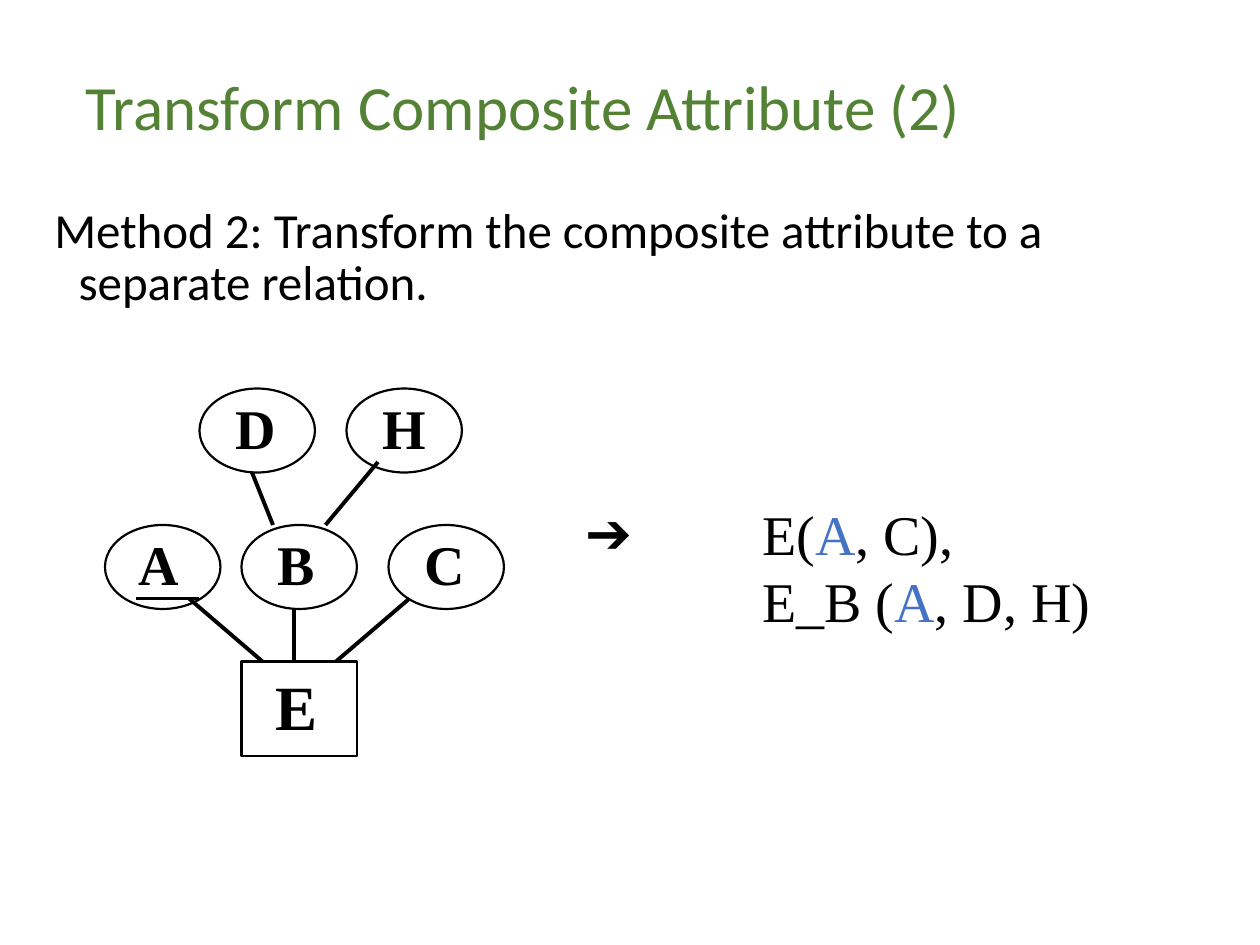
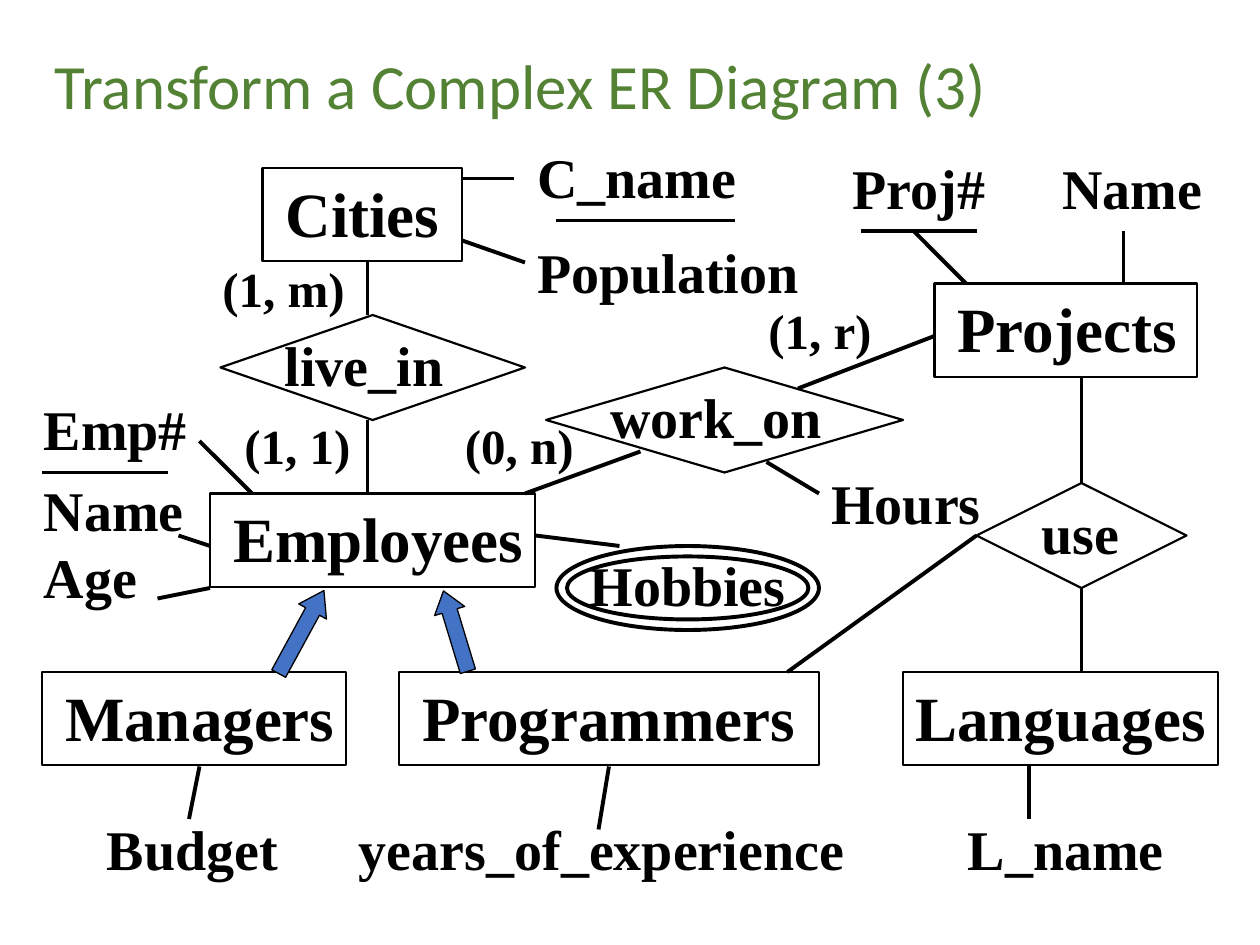
from lxml import etree
from pptx import Presentation
from pptx.dml.color import RGBColor
from pptx.enum.shapes import MSO_CONNECTOR, MSO_SHAPE
from pptx.enum.text import MSO_ANCHOR, PP_ALIGN
from pptx.oxml.ns import qn
from pptx.util import Emu, Pt

PX = 7620  # 120 px to the inch
COLORS = {"title": "548235", "ink": "000000", "key": "4472C4"}
SANS, SERIF, SYMBOL = "Calibri", "Times New Roman", "Arial"
ENTITY_HEIGHT = 89
LABEL_HEIGHT = 77

# Slide 1: composite attribute
COMPOSITE_TITLE = ("Transform Composite Attribute (2)", (70, 50, 1050, 110))
METHOD = "Method 2: Transform the composite attribute to a separate relation."
RELATIONS = [
    [("E(", "ink"), ("A", "key"), (", C),", "ink")],
    [("E_B (", "ink"), ("A", "key"), (", D, H)", "ink")],
]
ATTRIBUTES = [  # name, left, top, shift of the letter to the left
    ("D", 190, 370, 1), ("H", 330, 370, 0),
    ("A", 100, 500, 4), ("B", 230, 500, 3), ("C", 370, 500, 1),
]
ATTRIBUTE_SIZE = (110, 80)
COMPOSITE_LINES = [
    (240, 450, 260, 500), (360, 440, 310, 500),  # D and H to B
    (180, 570, 250, 630), (280, 580, 280, 630), (390, 570, 320, 630),  # A, B, C to E
    (130, 570, 190, 570),  # key underline
]

# Slide 2: complex ER diagram
COMPLEX_TITLE = ("Transform a Complex ER Diagram (3)", (40, 30, 1120, 110))
ENTITIES = [  # name, left, top, width, left inset
    ("Cities", 250, 160, 190, 22), ("Projects", 890, 270, 250, 22),
    ("Employees", 200, 470, 310, 22), ("Managers", 40, 640, 290, 22),
    ("Programmers", 380, 640, 400, 22), ("Languages", 860, 640, 300, 12),
]
RELATIONSHIPS = [  # name, left, top, width, shift of the text to the left
    ("live_in", 210, 300, 290, 8), ("work_on", 520, 350, 340, 8), ("use", 930, 460, 200, 1),
]
LABELS = [  # text, left, top, width
    ("C_name", 500, 130, 214), ("Population", 500, 220, 272),
    ("Proj#", 800, 140, 151), ("Name", 1000, 140, 157), ("Hours", 780, 440, 166),
    ("Budget", 90, 770, 187), ("years_of_experience", 330, 770, 486), ("L_name", 910, 770, 211),
]
EMPLOYEE_ATTRIBUTES = ["Emp#", "Name", "Age"]
CARDINALITIES = [
    ("(1, m)", 200, 240, 140), ("(1, 1)", 221, 390, 125),
    ("(0, n)", 431, 390, 127), ("(1, r)", 720, 280, 122),
]
COMPLEX_LINES = [
    (440, 170, 490, 170), (500, 250, 440, 229),  # Cities attributes
    (350, 300, 350, 250), (350, 400, 350, 470),  # live_in
    (760, 370, 890, 320), (500, 470, 610, 430), (730, 440, 780, 470),  # work_on
    (870, 220, 920, 270), (1070, 220, 1070, 270),  # Projects attributes
    (190, 420, 240, 470), (170, 510, 200, 520), (150, 570, 200, 560),  # Employees attributes
    (510, 510, 590, 520),  # Hobbies
    (190, 730, 180, 780), (580, 730, 570, 790), (980, 730, 980, 780),  # lower attributes
    (530, 210, 700, 210), (820, 220, 930, 220), (40, 450, 160, 450),  # key underlines
]
USE_LINES = [  # side of the diamond, then both ends
    (0, (1030, 460, 1030, 360)), (1, (930, 510, 750, 640)), (2, (1030, 560, 1030, 640)),
]
SUBTYPE_ARROWS = [  # box, rotation, head length
    ((242, 587, 90, 30), 298.6, 0.753), ((394, 586, 80, 30), 253.1, 0.667),
]


def px(*lengths):
    return [Emu(length * PX) for length in lengths]


def color(name):
    return RGBColor.from_string(COLORS[name])


def write(frame, lines, *, size=32, font=SERIF, ink="ink", bold=False, align=PP_ALIGN.LEFT,
          anchor=MSO_ANCHOR.TOP, insets=(12, 6, 0, 0), wrap=True, spacing=(), hanging=0):
    """Fill a text frame; a line is a string or a list of (text, colour) spans."""
    frame.word_wrap = wrap
    frame.vertical_anchor = anchor
    frame.margin_left, frame.margin_top, frame.margin_right, frame.margin_bottom = px(*insets)
    for index, line in enumerate(lines):
        para = frame.paragraphs[0] if index == 0 else frame.add_paragraph()
        para.alignment = align
        if index < len(spacing):
            para.line_spacing = spacing[index]
        if hanging:
            properties = para._p.get_or_add_pPr()
            properties.set("marL", str(hanging * PX))
            properties.set("indent", str(-hanging * PX))
        for text, span_color in [(line, ink)] if isinstance(line, str) else line:
            span = para.add_run()
            span.text = text
            span.font.size, span.font.name, span.font.bold = Pt(size), font, bold
            span.font.color.rgb = color(span_color)


def add_text(page, lines, place, **style):
    box = page.shapes.add_textbox(*px(*place))
    write(box.text_frame, lines, **style)


def add_outline(page, kind, place, weight=1.25, fill=None):
    shape = page.shapes.add_shape(kind, *px(*place))
    shape.shadow.inherit = False
    if fill:
        shape.fill.solid()
        shape.fill.fore_color.rgb = color(fill)
    else:
        shape.fill.background()
    shape.line.color.rgb = color("ink")
    shape.line.width = Pt(weight)
    return shape


def add_entity(page, name, place, inset):
    shape = add_outline(page, MSO_SHAPE.RECTANGLE, place)
    write(shape.text_frame, [name], size=36, bold=True, insets=(inset, 6, 0, 0))


def add_node(page, kind, name, place, shift=0, weight=1.25):
    """Draw an ellipse or diamond with its name just above the centre."""
    shape = add_outline(page, kind, place, weight)
    write(shape.text_frame, [name], bold=True, align=PP_ALIGN.CENTER, wrap=False,
          anchor=MSO_ANCHOR.MIDDLE, insets=(0, 0, 2 * shift, 7))
    return shape


def add_line(page, ends):
    line = page.shapes.add_connector(MSO_CONNECTOR.STRAIGHT, *px(*ends))
    line.line.color.rgb = color("ink")
    line.line.width = Pt(2.25)
    etree.SubElement(line._element.spPr, qn("a:effectLst"))
    return line


def add_page(deck, title, lines):
    page = deck.slides.add_slide(deck.slide_layouts[6])
    text, place = title
    add_text(page, [text], place, size=36, font=SANS, ink="title",
             anchor=MSO_ANCHOR.MIDDLE, insets=(12, 6, 12, 6), spacing=[0.9])
    for ends in lines:
        add_line(page, ends)
    return page


def build_composite(deck):
    page = add_page(deck, COMPOSITE_TITLE, COMPOSITE_LINES)
    add_text(page, [METHOD], (40, 190, 1120, 120), size=28, font=SANS,
             insets=(12, 6, 12, 6), spacing=[0.9], hanging=23)
    for name, left, top, shift in ATTRIBUTES:
        add_node(page, MSO_SHAPE.OVAL, name, (left, top, *ATTRIBUTE_SIZE), shift)
    add_entity(page, "E", (230, 630, 110, 90), 32)
    add_text(page, ["➔"], (546, 468, 70, 76), font=SYMBOL)
    add_text(page, RELATIONS, (714, 470, 337, 140))


def build_complex(deck):
    page = add_page(deck, COMPLEX_TITLE, COMPLEX_LINES)
    for name, left, top, width, inset in ENTITIES:
        add_entity(page, name, (left, top, width, ENTITY_HEIGHT), inset)
    diamonds = {
        name: add_node(page, MSO_SHAPE.DIAMOND, name, (left, top, width, 100), shift)
        for name, left, top, width, shift in RELATIONSHIPS
    }
    for side, ends in USE_LINES:
        add_line(page, ends).begin_connect(diamonds["use"], side)

    # Multivalued attribute: a double ellipse
    add_node(page, MSO_SHAPE.OVAL, "Hobbies", (540, 530, 230, 60), weight=2.25)
    add_outline(page, MSO_SHAPE.OVAL, (530, 520, 250, 80), weight=2.25)

    # Attribute names and cardinalities
    for text, left, top, width in LABELS:
        add_text(page, [text], (left, top, width, LABEL_HEIGHT), bold=True)
    add_text(page, EMPLOYEE_ATTRIBUTES, (30, 370, 161, 217), bold=True, spacing=[1.0, 1.2, 1.0])
    for text, left, top, width in CARDINALITIES:
        add_text(page, [text], (left, top, width, 68), size=28, bold=True)

    # Subtypes of Employees
    for place, rotation, head in SUBTYPE_ARROWS:
        arrow = add_outline(page, MSO_SHAPE.RIGHT_ARROW, place, 0.75, fill="key")
        arrow.rotation = rotation
        arrow.adjustments[1] = head


def main():
    deck = Presentation()
    deck.slide_width, deck.slide_height = px(1200, 900)
    build_composite(deck)
    build_complex(deck)
    deck.save("out.pptx")


if __name__ == "__main__":
    main()
